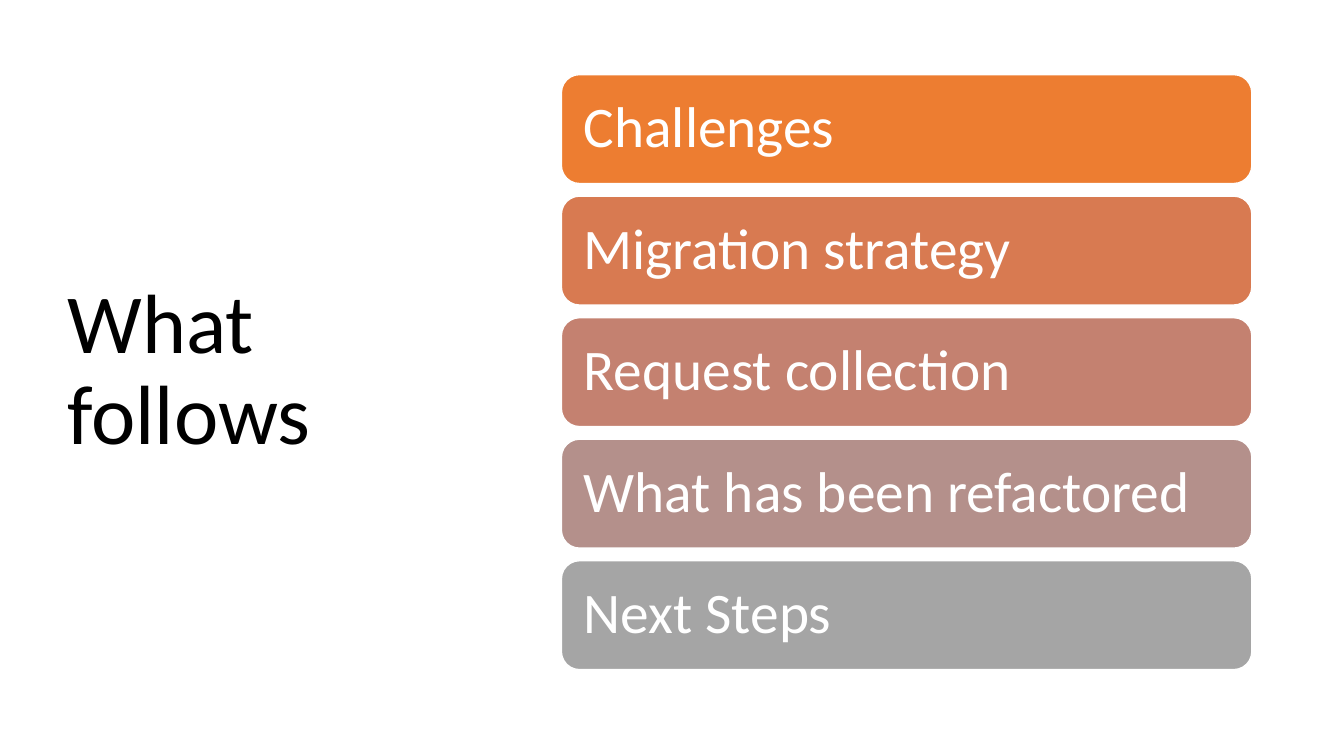
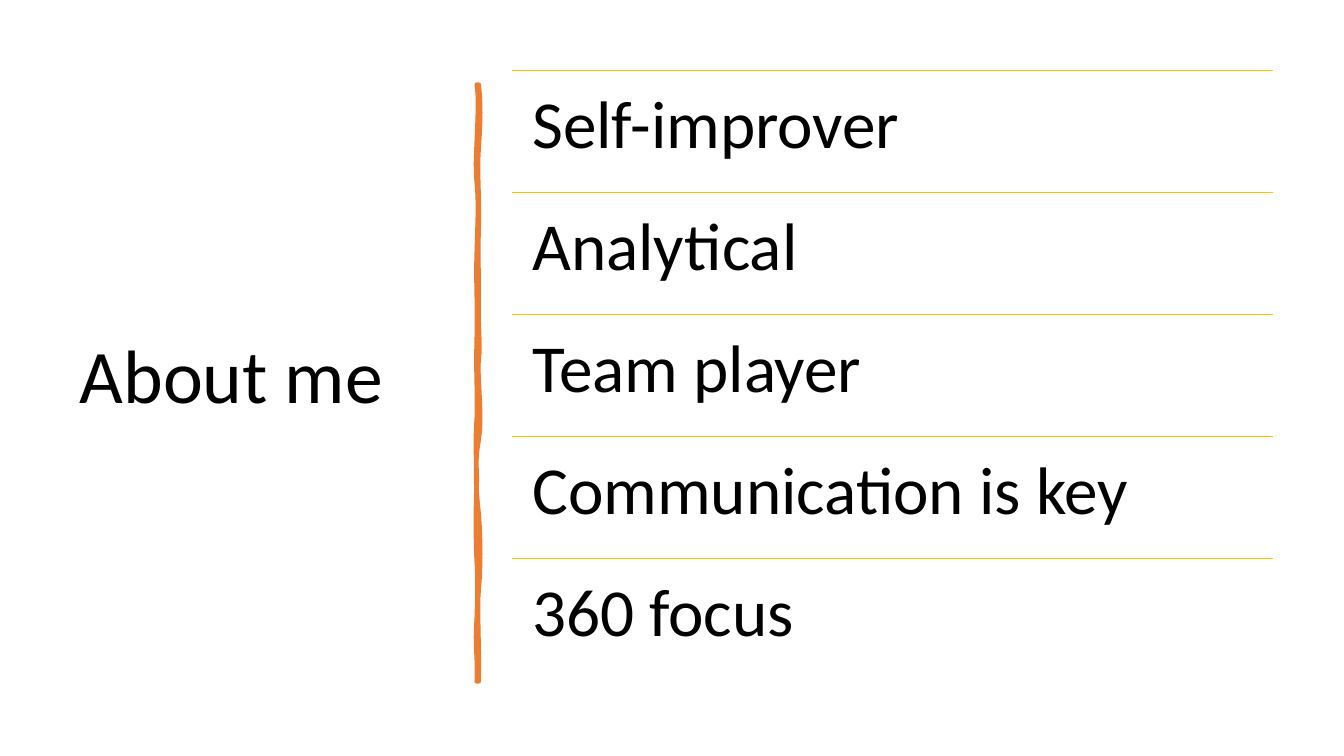
"""Builds two slides: an agenda of coloured bars and a ruled list of traits."""
from lxml.etree import SubElement
from pptx import Presentation
from pptx.dml.color import RGBColor
from pptx.enum.shapes import MSO_CONNECTOR as Connector, MSO_SHAPE as Shape
from pptx.enum.text import MSO_ANCHOR as Anchor, MSO_AUTO_SIZE as AutoSize, PP_ALIGN as Align
from pptx.oxml.ns import qn
from pptx.util import Pt

FONT = "Calibri"
BLACK = RGBColor(0x00, 0x00, 0x00)
WHITE = RGBColor(0xFF, 0xFF, 0xFF)
ORANGE = RGBColor(0xED, 0x7D, 0x31)
GOLD = RGBColor(0xFF, 0xC0, 0x00)
TITLE_ONLY = 5

AGENDA = [
    ("Challenges", ORANGE),
    ("Migration strategy", RGBColor(0xD8, 0x7A, 0x51)),
    ("Request collection", RGBColor(0xC4, 0x81, 0x70)),
    ("What has been refactored", RGBColor(0xB4, 0x90, 0x8B)),
    ("Next Steps", RGBColor(0xA5, 0xA5, 0xA5)),
]
BAR_LEFT, BAR_TOP, BAR_WIDTH, BAR_HEIGHT, BAR_GAP = 401, 53.3, 493.2, 77.8, 9

TRAITS = ["Self-improver", "Analytical", "Team player", "Communication is key", "360 focus"]
ROW_LEFT, ROW_TOP, ROW_WIDTH, ROW_HEIGHT = 365.8, 50.4, 543.6, 87.1

STROKE_TOP, STROKE_BOTTOM = 60.5, 486.7
RIGHT_X, LEFT_X = 342, 340.6
# Each entry: first control point, second control point, height where the curve ends.
RIGHT_EDGE = [
    ((343.4, 73.4), (343.4, 85.7), 105.1),
    ((340.6, 124.6), (342.7, 140.4), 162.7),
    ((341.3, 185), (342, 188.6), 211.7),
    ((341.3, 234), (343.4, 246.2), 256.3),
    ((340.6, 266.4), (344.9, 298.1), 313.9),
    ((339.1, 329), (339.8, 348.5), 367.2),
    ((343.4, 385.9), (343.4, 406.1), 420.5),
    ((340.6, 434.2), (342.7, 468), STROKE_BOTTOM),
]
LEFT_EDGE = [
    ((341.3, 465.1), (339.1, 463.7), 441.4),
    ((341.3, 419.8), (341.3, 410.4), 401),
    ((339.8, 391.7), (339.8, 356.4), 343.4),
    ((340.6, 330.5), (339.1, 320.4), 298.8),
    ((341.3, 277.9), (339.8, 268.6), 241.2),
    ((341.3, 214.6), (339.8, 202.3), 180),
    ((341.3, 157), (342, 144), 130.3),
    ((338.4, 117.4), (343.4, 74.9), STROKE_TOP),
]


def write(shape, text, size, color, inset, anchor):
    frame = shape.text_frame
    frame.word_wrap = True
    frame.auto_size = AutoSize.NONE
    frame.vertical_anchor = anchor
    frame.margin_left = frame.margin_right = Pt(inset)
    frame.margin_top = frame.margin_bottom = Pt(min(inset, 14.4) if inset > 7.2 else 3.6)
    para = frame.paragraphs[0]
    para.text = text
    para.alignment = Align.LEFT
    para.line_spacing = 0.9
    para.font.name = FONT
    para.font.size = Pt(size)
    para.font.color.rgb = color


def add_titled_page(deck, text, size, bounds):
    page = deck.slides.add_slide(deck.slide_layouts[TITLE_ONLY])
    title = page.shapes.title
    title.left, title.top, title.width, title.height = map(Pt, bounds)
    write(title, text, size, BLACK, 7.2, Anchor.MIDDLE)
    return page


def add_bars(page):
    for index, (text, color) in enumerate(AGENDA):
        top = BAR_TOP + index * (BAR_HEIGHT + BAR_GAP)
        bar = page.shapes.add_shape(
            Shape.ROUNDED_RECTANGLE, Pt(BAR_LEFT), Pt(top), Pt(BAR_WIDTH), Pt(BAR_HEIGHT))
        bar.shadow.inherit = False
        bar.fill.solid()
        bar.fill.fore_color.rgb = color
        bar.line.color.rgb = WHITE
        bar.line.width = Pt(1)
        write(bar, text, 41, WHITE, 12.2, Anchor.MIDDLE)


def add_ruled_rows(page):
    for index, text in enumerate(TRAITS):
        top = Pt(ROW_TOP + index * ROW_HEIGHT)
        rule = page.shapes.add_connector(
            Connector.STRAIGHT, Pt(ROW_LEFT), top, Pt(ROW_LEFT + ROW_WIDTH), top)
        rule.line.color.rgb = GOLD
        rule.line.width = Pt(1)
        SubElement(rule._element.spPr, qn("a:effectLst"))
        row = page.shapes.add_textbox(Pt(ROW_LEFT), top, Pt(ROW_WIDTH), Pt(ROW_HEIGHT))
        write(row, text, 48, BLACK, 14.4, Anchor.TOP)


def trace_edge(x, y, curves, steps=8):
    points = [(x, y)]
    for first, second, end_y in curves:
        corners = (points[-1], first, second, (x, end_y))
        for step in range(1, steps + 1):
            t = step / steps
            weights = ((1 - t) ** 3, 3 * t * (1 - t) ** 2, 3 * t ** 2 * (1 - t), t ** 3)
            points.append(tuple(
                sum(weight * corner[axis] for weight, corner in zip(weights, corners))
                for axis in (0, 1)))
    return points


def add_brush_stroke(page):
    outline = (trace_edge(RIGHT_X, STROKE_TOP, RIGHT_EDGE)
               + trace_edge(LEFT_X, STROKE_BOTTOM, LEFT_EDGE))
    start, *rest = [(Pt(x), Pt(y)) for x, y in outline]
    builder = page.shapes.build_freeform(*start)
    builder.add_line_segments(rest, close=True)
    stroke = builder.convert_to_shape()
    stroke.shadow.inherit = False
    stroke.fill.solid()
    stroke.fill.fore_color.rgb = ORANGE
    stroke.line.color.rgb = ORANGE
    stroke.line.width = Pt(3.25)
    SubElement(stroke._element.spPr.find(qn("a:ln")), qn("a:round"))


def main():
    deck = Presentation()
    deck.slide_width, deck.slide_height = Pt(960), Pt(540)
    agenda = add_titled_page(deck, "What follows", 60, (41, 49, 299.5, 433.4))
    add_bars(agenda)
    about = add_titled_page(deck, "About me", 54, (49.7, 50.4, 269.3, 439.9))
    add_brush_stroke(about)
    add_ruled_rows(about)
    deck.save("out.pptx")


if __name__ == "__main__":
    main()
